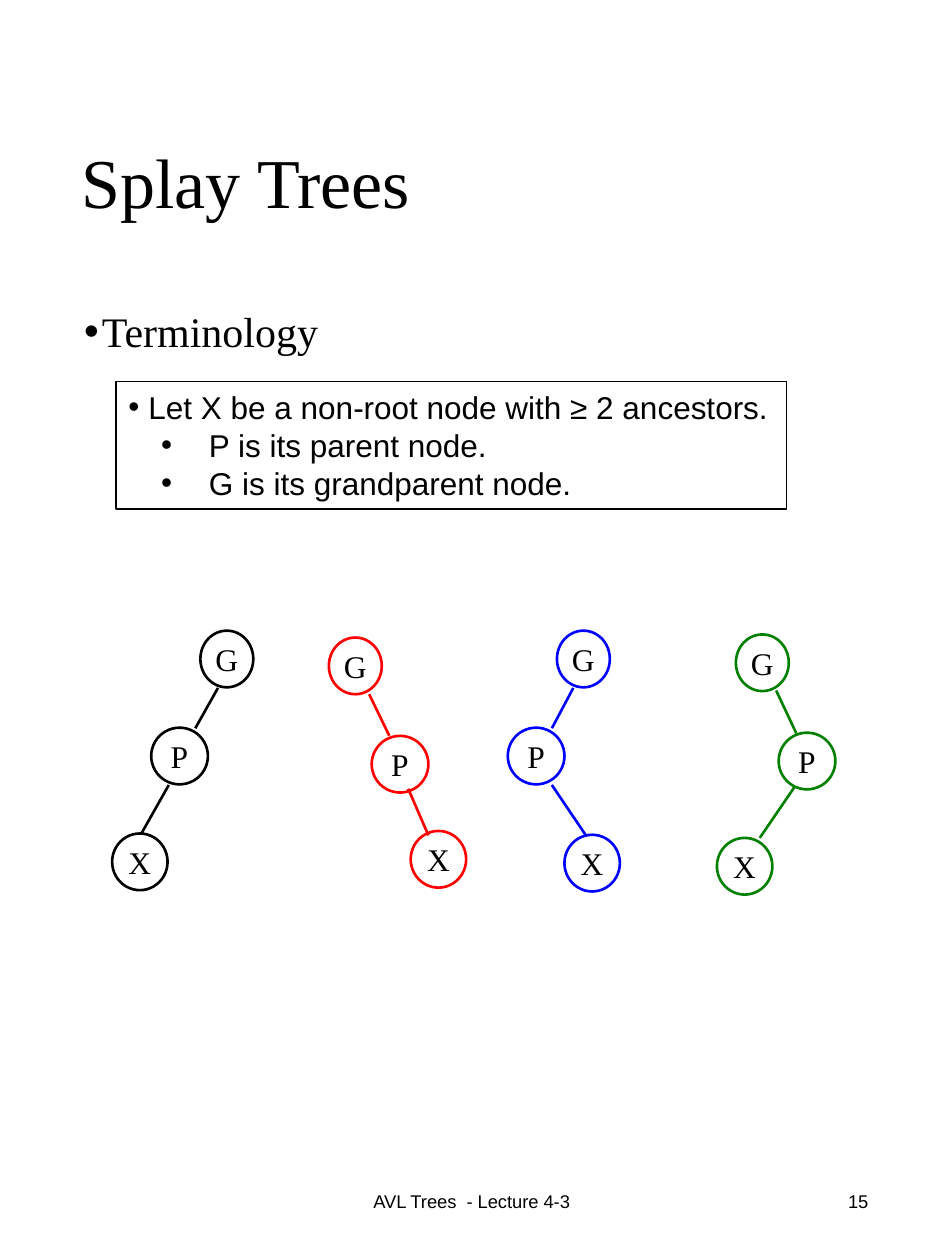
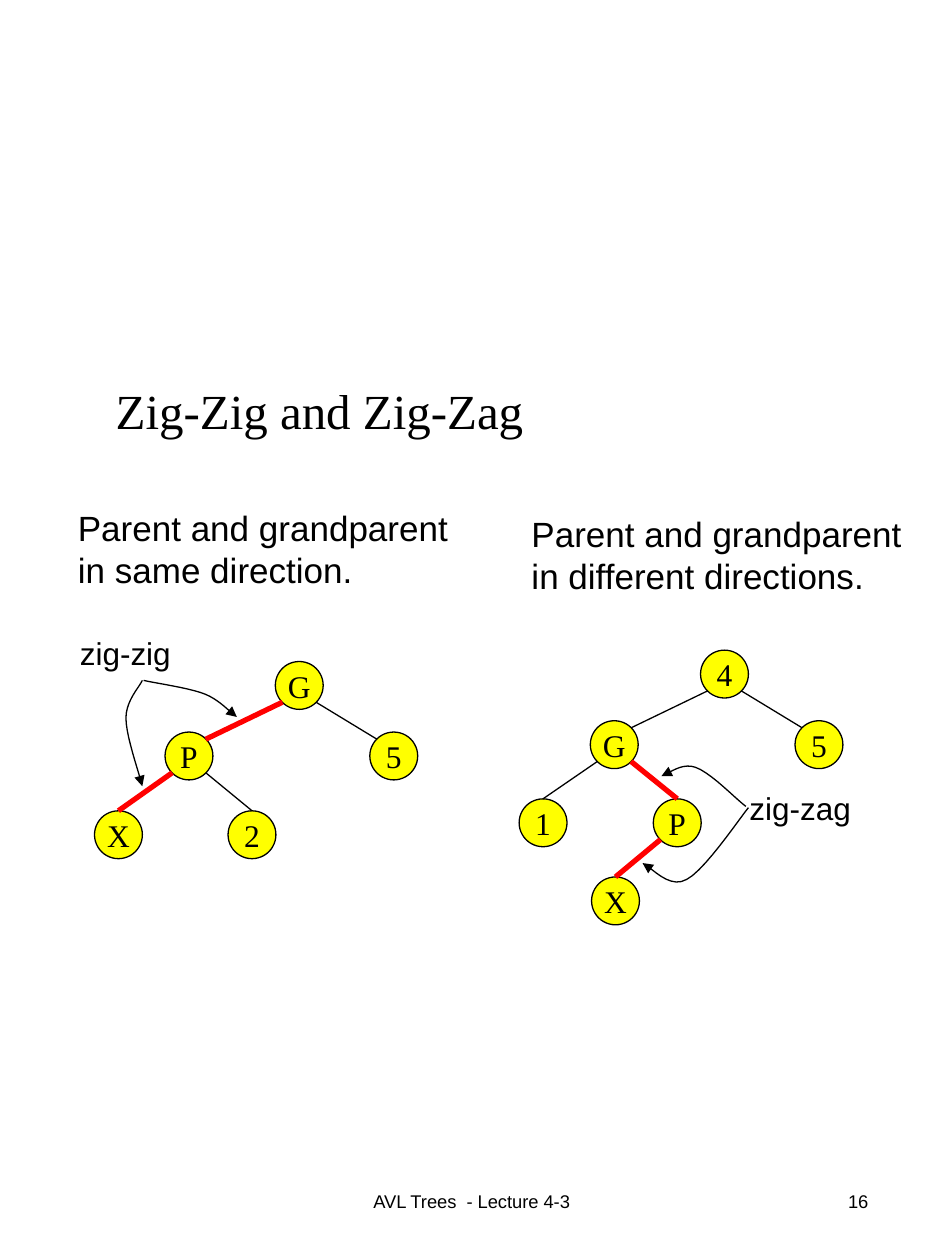
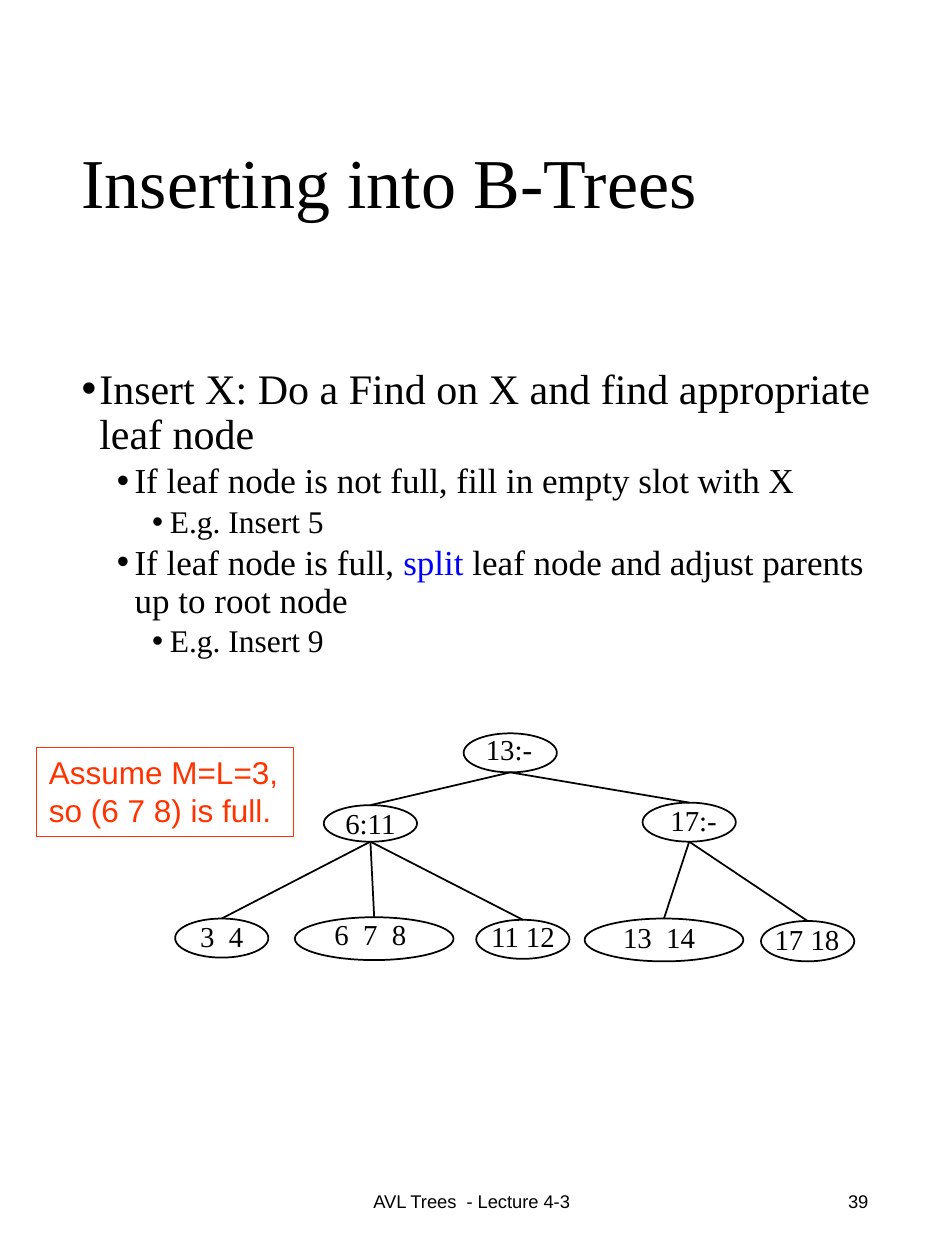
from dataclasses import dataclass

from lxml.etree import SubElement
from pptx import Presentation
from pptx.dml.color import RGBColor as Rgb
from pptx.enum.shapes import MSO_CONNECTOR as Connector, MSO_SHAPE as Shape
from pptx.enum.text import MSO_ANCHOR as Anchor, MSO_AUTO_SIZE as AutoSize, PP_ALIGN as Align
from pptx.oxml.ns import qn
from pptx.util import Emu, Inches, Pt

COLUMNS, ROWS = 75, 100


@dataclass(frozen=True)
class Theme:
    """Colours, fonts and type sizes of the deck."""
    ink: str = "000000"
    red: str = "FF0000"
    blue: str = "0000FF"
    green: str = "008000"
    node: str = "FFFF00"
    note: str = "FF3300"
    serif: str = "Times New Roman"
    sans: str = "Arial"
    title: float = 40
    subtitle: float = 28
    levels: tuple = (24, 20, 18)
    lead: float = 20
    label: float = 18
    key: float = 16.5
    footer: float = 10.5
    hairline: float = 0.75
    branch: float = 1
    outline: float = 1.5
    heavy: float = 3


class Lecture:
    """Holds the theme and the current page of a 75 by 100 grid."""

    def __init__(self, theme):
        self.theme = theme
        self.deck = Presentation()
        self.deck.slide_width, self.deck.slide_height = Inches(7.5), Inches(10)
        self.page = None

    def at(self, column, row):
        """Turn a grid point into slide lengths."""
        return (Emu(round(self.deck.slide_width * column / COLUMNS)),
                Emu(round(self.deck.slide_height * row / ROWS)))

    def start(self, title, number, area=(5.5, 5.1, 64.7, 19.3), size=None):
        """Open a page with its title and footer."""
        theme = self.theme
        self.page = self.deck.slides.add_slide(self.deck.slide_layouts[6])
        footer = dict(size=theme.footer, anchor=Anchor.MIDDLE)
        self.text((24.8, 92.7, 25.3, 5.3), ["AVL Trees  - Lecture 4-3"], align=Align.CENTER, **footer)
        self.text((53, 92.7, 16.9, 5.3), [str(number)], align=Align.RIGHT, **footer)
        self.text(area, [title], size=size or theme.title, font=theme.serif,
                  anchor=Anchor.MIDDLE, spacing=0.9)

    def span(self, para, words, size, font, color):
        """Add one run to a paragraph."""
        span = para.add_run()
        span.text = words
        span.font.size, span.font.name = Pt(size), font
        span.font.color.rgb = Rgb.from_string(color)

    def bullet(self, para, margin, hang):
        """Give a paragraph a hanging bullet, in inches."""
        props = para._p.get_or_add_pPr()
        props.set("marL", str(Inches(margin)))
        props.set("indent", str(-Inches(hang)))
        SubElement(props, qn("a:buFont"), typeface=self.theme.sans)
        SubElement(props, qn("a:buChar"), char="•")

    def box(self, area, anchor=Anchor.TOP, wrap=True, grow=False, border=None):
        """Add an empty text box and return its frame."""
        shape = self.page.shapes.add_textbox(*self.at(*area[:2]), *self.at(*area[2:]))
        frame = shape.text_frame
        frame.word_wrap, frame.vertical_anchor = wrap, anchor
        frame.auto_size = AutoSize.SHAPE_TO_FIT_TEXT if grow else AutoSize.NONE
        if border:
            self.stroke(shape, border, self.theme.hairline)
        return frame

    def paragraphs(self, frame, count):
        """Return the given number of paragraphs of a frame."""
        return [frame.paragraphs[0]] + [frame.add_paragraph() for _ in range(count - 1)]

    def text(self, area, lines, size=None, font=None, color=None, align=Align.LEFT,
             spacing=None, **style):
        """Add plain text, one paragraph a line, with breaks at newlines."""
        theme = self.theme
        frame = self.box(area, **style)
        for para, line in zip(self.paragraphs(frame, len(lines)), lines):
            para.alignment = align
            if spacing:
                para.line_spacing = spacing
            for index, words in enumerate(line.split("\n")):
                if index:
                    para.add_line_break()
                self.span(para, words, size or theme.label, font or theme.sans, color or theme.ink)
        return frame

    def outline(self, area, items):
        """Add a bulleted body of (level, coloured runs) items."""
        theme = self.theme
        frame = self.box(area)
        for index, (para, (level, runs)) in enumerate(zip(self.paragraphs(frame, len(items)), items)):
            para.level = level
            self.bullet(para, 0.14 + 0.28 * level, 0.14)
            para.line_spacing = 0.9
            if index:
                para.space_before = Pt(2.8)
            for words, color in runs:
                self.span(para, words, theme.levels[level], theme.serif, color)

    def stroke(self, shape, color, width):
        """Set the line of a shape or connector."""
        shape.line.color.rgb = Rgb.from_string(color)
        shape.line.width = Pt(width)

    def ellipse(self, center, size, color, width, fill=None, label=None):
        """Add an ellipse about its centre with an optional label."""
        (x, y), (wide, high) = center, size
        shape = self.page.shapes.add_shape(
            Shape.OVAL, *self.at(x - wide / 2, y - high / 2), *self.at(wide, high))
        shape.shadow.inherit = False
        self.stroke(shape, color, width)
        if fill:
            shape.fill.solid()
            shape.fill.fore_color.rgb = Rgb.from_string(fill)
        else:
            shape.fill.background()
        if label:
            frame = shape.text_frame
            frame.word_wrap, frame.vertical_anchor = False, Anchor.MIDDLE
            para = frame.paragraphs[0]
            para.alignment = Align.CENTER
            self.span(para, label, self.theme.label, self.theme.serif, self.theme.ink)

    def edge(self, start, end, color, width):
        """Add a straight line between two grid points."""
        line = self.page.shapes.add_connector(Connector.STRAIGHT, *self.at(*start), *self.at(*end))
        SubElement(line._element.spPr, qn("a:effectLst"))
        self.stroke(line, color, width)

    def arrow(self, start, *curves, steps=10):
        """Add an arrow along cubic curves, each given by three points."""
        points, origin = [], start
        for first, second, end in curves:
            for step in range(1, steps + 1):
                t = step / steps
                weights = ((1 - t) ** 3, 3 * t * (1 - t) ** 2, 3 * t * t * (1 - t), t ** 3)
                corners = (origin, first, second, end)
                points.append(self.at(*(sum(w * corner[axis] for w, corner in zip(weights, corners))
                                        for axis in (0, 1))))
            origin = end
        builder = self.page.shapes.build_freeform(*self.at(*start))
        builder.add_line_segments(points, close=False)
        shape = builder.convert_to_shape()
        shape.shadow.inherit = False
        shape.fill.background()
        self.stroke(shape, self.theme.ink, self.theme.hairline)
        SubElement(shape.line._get_or_add_ln(), qn("a:tailEnd"), type="triangle")

    def family(self, color, grandparent, parent, child, upper, lower):
        """Draw a grandparent, parent and child chain in one colour."""
        width = self.theme.outline
        for label, center, wide in (("G", grandparent, 4.2), ("P", parent, 4.5), ("X", child, 4.4)):
            self.ellipse(center, (wide, 4.5), color, width, label=label)
        for ends in (upper, lower):
            self.edge(*ends, color, width)

    def search_tree(self, nodes, edges, root):
        """Draw round nodes and edges, heavy on the path that is rotated."""
        theme, corner, radius = self.theme, 1.33, 1.9
        for label, center in nodes.items():
            self.ellipse(center, (2 * radius,) * 2, theme.ink, theme.hairline, theme.node, label)
        for upper, lower, heavy in edges:
            (x, y), (u, v) = nodes[upper], nodes[lower]
            side = 1 if u > x else -1
            end = (u - side * corner, v - corner) if upper == root else (u, v - radius)
            self.edge((x + side * corner, y + corner), end, theme.red if heavy else theme.ink,
                      theme.heavy if heavy else theme.hairline)

    def key_node(self, keys, center, size, label_center):
        """Draw a B-tree node with its keys."""
        theme = self.theme
        self.ellipse(center, size, theme.ink, theme.branch)
        x, y = label_center
        frame = self.text((x - 3.4, y - 1.15, 6.8, 2.3), [keys], theme.key, theme.serif,
                          align=Align.CENTER, spacing=0.85)
        frame.margin_left = frame.margin_right = frame.margin_top = frame.margin_bottom = 0


def splay_trees(talk):
    """Build the terminology page."""
    theme = talk.theme
    talk.start("Splay Trees", 15)
    talk.outline((5.7, 24.2, 64.4, 34.4), [(0, [("Terminology", theme.ink)])])
    frame = talk.text((9.2, 30.3, 53.2, 10.1), [
        "Let X be a non-root node with ≥ 2 ancestors.",
        "P is its parent node.",
        "G is its grandparent node.",
    ], wrap=False, grow=True, border=theme.ink)
    for para, (margin, hang) in zip(frame.paragraphs, ((0.16, 0.16), (0.64, 0.38), (0.64, 0.38))):
        talk.bullet(para, margin, hang)
    talk.family(theme.blue, (46.3, 52.3), (42.55, 60), (47, 68.5),
                ((45.5, 54.6), (43.8, 57.8)), ((43.8, 62.3), (46.5, 66.3)))
    talk.family(theme.red, (28.2, 52.85), (31.75, 60.65), (34.8, 68.2),
                ((29.3, 55.1), (30.9, 58.4)), ((32.4, 62.6), (34, 66.3)))
    talk.family(theme.ink, (18, 52.3), (14.25, 60), (11.1, 68.4),
                ((17.3, 54.6), (15.5, 57.8)), ((13.4, 62.3), (11.2, 66.2)))
    talk.family(theme.green, (60.5, 52.6), (64.05, 60.4), (59.1, 68.75),
                ((61.6, 54.8), (63.2, 58.2)), ((63.1, 62.4), (60.3, 66.5)))


def zig_zag(talk):
    """Build the page on the two rotation cases."""
    theme = talk.theme
    talk.start("Zig-Zig and Zig-Zag", 16, (8.2, 29.2, 36.1, 7.3), theme.subtitle)
    talk.search_tree(
        {"4": (57.5, 53.5), "G": (48.75, 59.1), "5": (65, 59.1), "1": (43.1, 65.3),
         "P": (53.75, 65.3), "X": (48.85, 71.5)},
        [("4", "G", False), ("4", "5", False), ("G", "1", False), ("G", "P", True),
         ("P", "X", True)], "4")
    talk.search_tree(
        {"G": (23.75, 54.4), "P": (15, 60), "5": (31.25, 60), "X": (9.4, 66.25), "2": (20, 66.25)},
        [("G", "P", True), ("G", "5", False), ("P", "X", True), ("P", "2", False)], "G")
    label = dict(align=Align.CENTER, anchor=Anchor.MIDDLE, wrap=False, grow=True)
    talk.text((58.4, 62.1, 10.2, 4), ["zig-zag"], **label)
    talk.text((5.3, 49.8, 9.3, 4), ["zig-zig"], **label)
    talk.arrow((59.2, 64), ((58.5, 63.5), (56.4, 61.3), (55.2, 60.9)),
               ((54.1, 60.5), (53.1, 61.4), (52.5, 61.6)))
    talk.arrow((59.4, 64.1), ((58.6, 65.1), (55.9, 69.1), (54.5, 69.8)),
               ((53.1, 70.6), (51.7, 68.8), (51, 68.5)))
    talk.arrow((11.4, 54), ((12.2, 54.2), (15.1, 54.6), (16.3, 55.1)),
               ((17.5, 55.6), (18.2, 56.5), (18.8, 56.9)))
    talk.arrow((11.3, 54), ((11.1, 54.5), (10, 55.6), (10, 57)),
               ((10, 58.4), (11, 61.2), (11.3, 62.4)))
    for column, row, direction in ((5.2, 39.7, "same direction."), (41.2, 40.2, "different directions.")):
        talk.text((column, row, 31.6, 7.7), [f"Parent and grandparent\nin {direction}"],
                  theme.lead, wrap=False, grow=True)


def b_trees(talk):
    """Build the B-tree insertion page."""
    theme = talk.theme
    talk.start("Inserting into B-Trees", 39)
    talk.outline((5.5, 28.7, 65.7, 13.1), [
        (0, [("Insert X: Do a Find on X and find appropriate leaf node", theme.ink)]),
        (1, [("If leaf node is not full, fill in empty slot with X", theme.ink)]),
        (2, [("E.g. Insert 5", theme.ink)]),
        (1, [("If leaf node is full, ", theme.ink), ("split", theme.blue),
             (" leaf node and adjust parents up to root node", theme.ink)]),
        (2, [("E.g. Insert 9", theme.ink)]),
    ])
    small, large = (7.4, 3.1), (12.6, 3.4)
    nodes = {
        "13:-": ((40.5, 59.75), small, (40.4, 59.65)),
        "6:11": ((29.4, 65.35), (7.4, 2.9), (29.4, 65.55)),
        "17:-": ((54.7, 65.25), small, (55.05, 65.25)),
        "3  4": ((17.6, 74.45), small, (17.6, 74.45)),
        "6  7  8": ((29.7, 74.5), large, (29.4, 74.35)),
        "11 12": ((41.5, 74.55), small, (41.5, 74.45)),
        "13  14": ((52.7, 74.6), large, (52.3, 74.55)),
        "17 18": ((64.1, 74.7), (7.4, 3.2), (64.05, 74.75)),
    }
    children = {"13:-": ("6:11", "17:-"), "6:11": ("3  4", "6  7  8", "11 12"),
                "17:-": ("13  14", "17 18")}
    for keys, place in nodes.items():
        talk.key_node(keys, *place)
    for parent, group in children.items():
        (x, y), (_, high), _ = nodes[parent]
        for child in group:
            (u, v), (_, tall), _ = nodes[child]
            talk.edge((x, y + high / 2), (u, v - tall / 2), theme.ink, theme.branch)
    talk.text((2.9, 59.3, 20.4, 7.1), ["Assume M=L=3,", "so (6 7 8) is full."],
              color=theme.note, wrap=False, grow=True, border=theme.note)


def main():
    """Build and save the deck."""
    talk = Lecture(Theme())
    for build in (splay_trees, zig_zag, b_trees):
        build(talk)
    talk.deck.save("out.pptx")


if __name__ == "__main__":
    main()
